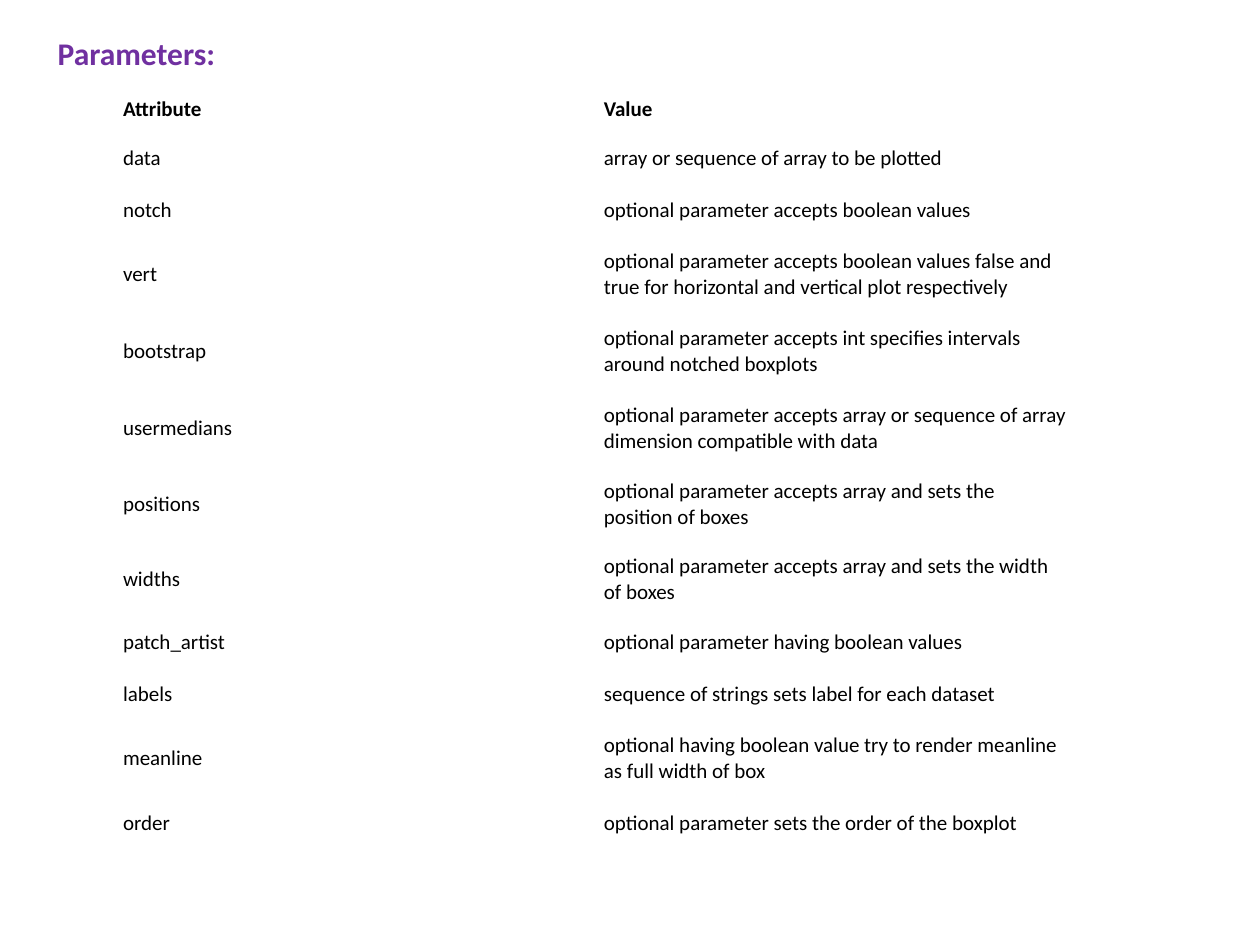
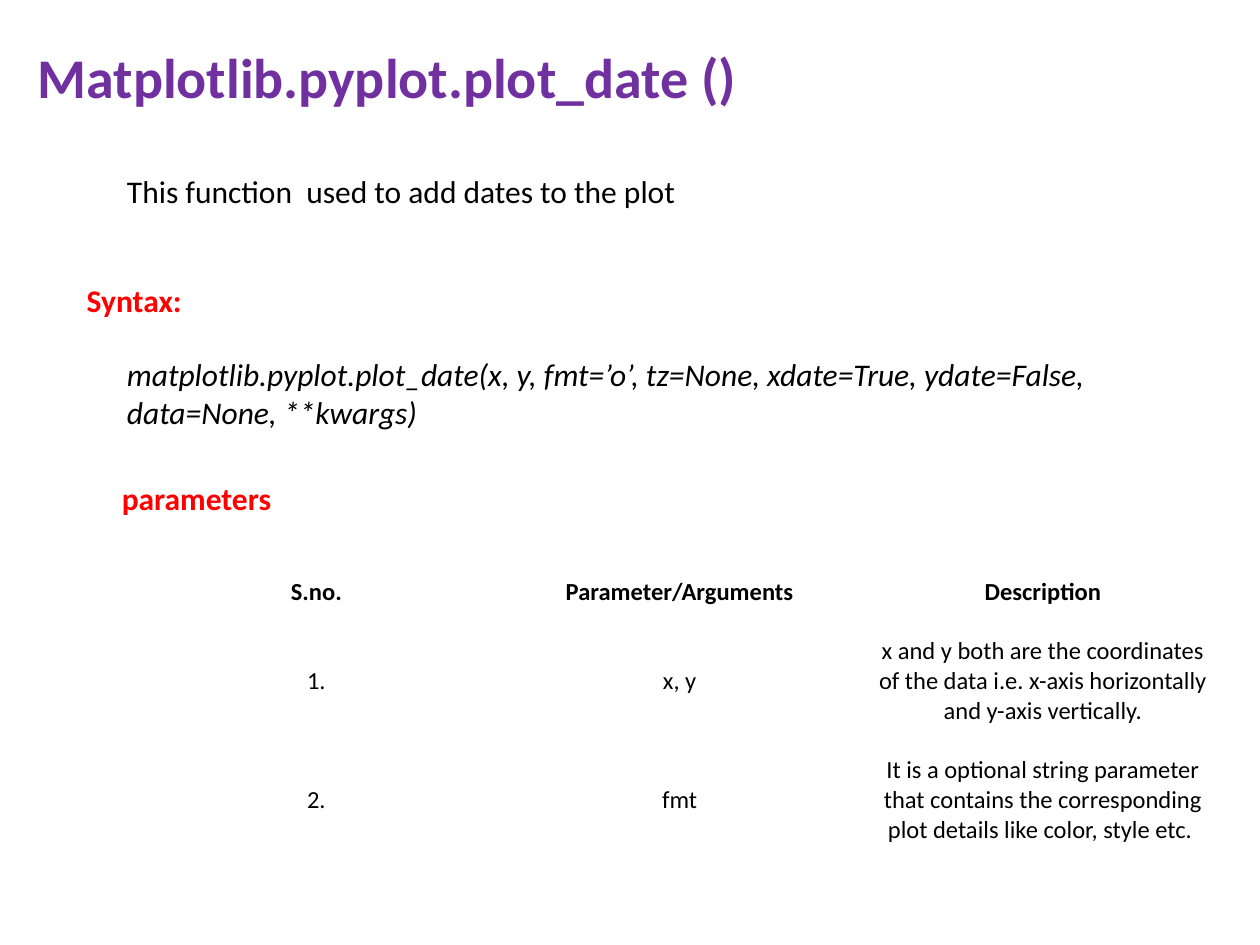
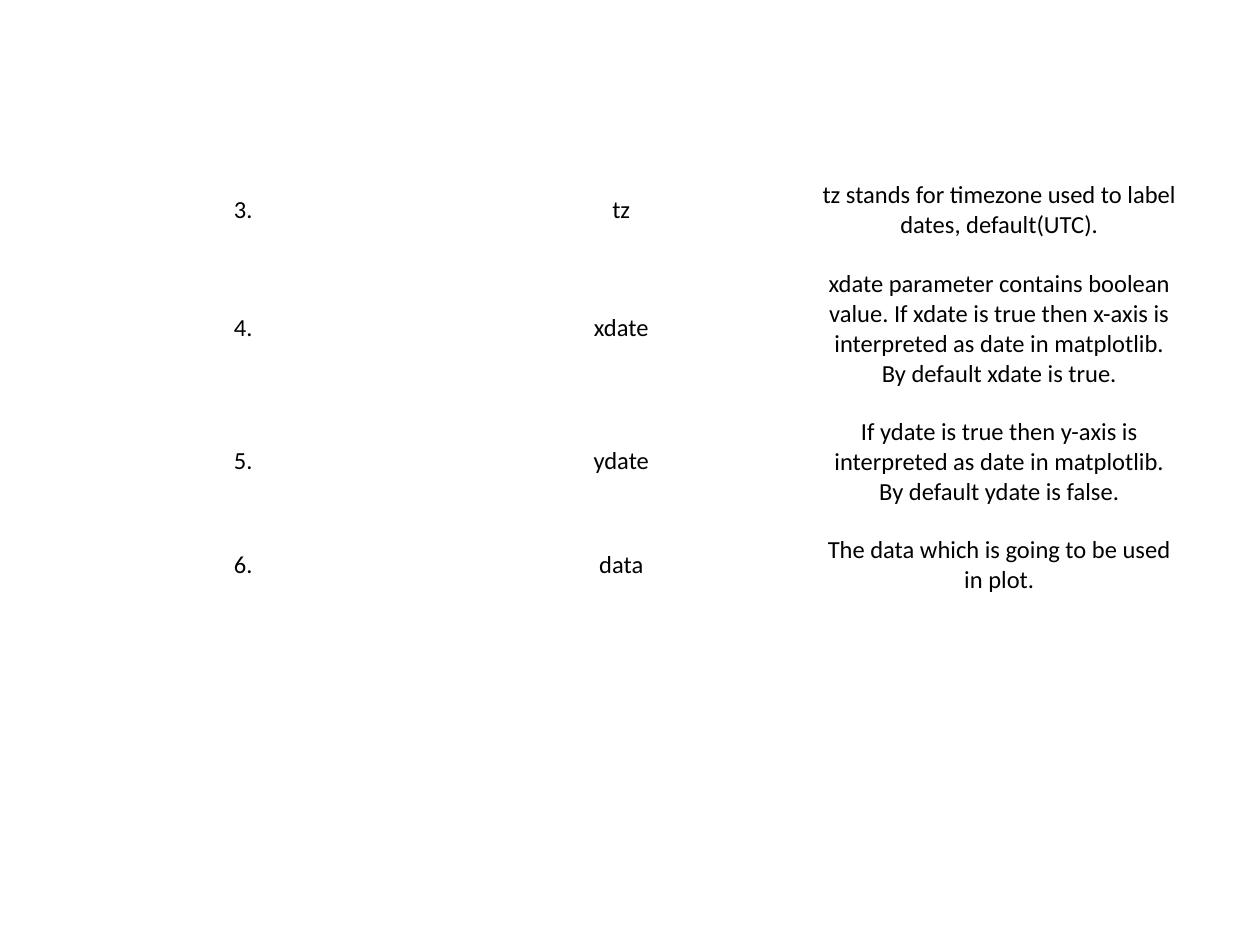
from pptx import Presentation
from pptx.dml.color import RGBColor
from pptx.enum.shapes import MSO_SHAPE
from pptx.enum.text import MSO_ANCHOR, MSO_AUTO_SIZE, PP_ALIGN
from pptx.util import Pt

COLORS = {"title": "7030A0", "label": "FF0000", "body": "000000", "paper": "FFFFFF"}
FONT = "Calibri"


def write(paragraph, text, size, color="body", bold=False, italic=False):
    paragraph.text = text
    font = paragraph.font
    font.name, font.size, font.bold, font.italic = FONT, Pt(size), bold, italic
    font.color.rgb = RGBColor.from_string(COLORS[color])


def add_grid(slide, left, top, column_width, heights, rows, size, margins, align, has_header):
    margin_x, margin_y, header_margin_y = margins
    columns = len(rows[0])
    grid = slide.shapes.add_table(len(rows), columns, Pt(left), Pt(top),
                                  Pt(column_width * columns), Pt(sum(heights))).table
    grid.first_row = has_header
    grid.horz_banding = False
    for column in grid.columns:
        column.width = Pt(column_width)
    for r, (values, height) in enumerate(zip(rows, heights)):
        is_header = has_header and r == 0
        grid.rows[r].height = Pt(height)
        for c, value in enumerate(values):
            cell = grid.cell(r, c)
            cell.fill.solid()
            cell.fill.fore_color.rgb = RGBColor.from_string(COLORS["paper"])
            cell.vertical_anchor = MSO_ANCHOR.MIDDLE
            cell.margin_left = cell.margin_right = Pt(margin_x)
            cell.margin_top = cell.margin_bottom = Pt(header_margin_y if is_header else margin_y)
            paragraph = cell.text_frame.paragraphs[0]
            write(paragraph, value, size, bold=is_header)
            paragraph.alignment = align


prs = Presentation()
prs.slide_width, prs.slide_height = Pt(720), Pt(540)
blank = prs.slide_layouts[6]

# Slide 1: boxplot parameters
boxplot_slide = prs.slides.add_slide(blank)
boxplot_parameters = [
    ("Attribute", "Value"),
    ("data", "array or sequence of array to be plotted"),
    ("notch", "optional parameter accepts boolean values"),
    ("vert", "optional parameter accepts boolean values false and true for horizontal "
             "and vertical plot respectively"),
    ("bootstrap", "optional parameter accepts int specifies intervals around notched boxplots"),
    ("usermedians", "optional parameter accepts array or sequence of array dimension "
                    "compatible with data"),
    ("positions", "optional parameter accepts array and sets the position of boxes"),
    ("widths", "optional parameter accepts array and sets the width of boxes"),
    ("patch_artist", "optional parameter having boolean values"),
    ("labels", "sequence of strings sets label for each dataset"),
    ("meanline", "optional having boolean value try to render meanline as full width of box"),
    ("order", "optional parameter sets the order of the boxplot"),
]
one_line, two_lines = 29.6, 44
boxplot_heights = [26.6, one_line, one_line, two_lines, two_lines, two_lines, 43, 42.5,
                   one_line, one_line, two_lines, one_line]
add_grid(boxplot_slide, 65.3, 49, 274.8, boxplot_heights, boxplot_parameters, 12,
         (5, 6.5, 5), PP_ALIGN.LEFT, True)

heading = boxplot_slide.shapes.add_shape(MSO_SHAPE.RECTANGLE, Pt(33), Pt(19.6), Pt(661), Pt(21.8))
heading.shadow.inherit = False
heading.fill.solid()
heading.fill.fore_color.rgb = RGBColor.from_string(COLORS["paper"])
heading.line.fill.background()
heading_frame = heading.text_frame
heading_frame.margin_left = heading_frame.margin_right = 0
heading_frame.margin_top = heading_frame.margin_bottom = 0
heading_frame.vertical_anchor = MSO_ANCHOR.MIDDLE
write(heading_frame.paragraphs[0], "Parameters: ", 18, "title", bold=True)
heading_frame.paragraphs[0].alignment = PP_ALIGN.LEFT

# Slide 2: plot_date purpose, syntax and first parameters
plot_date_slide = prs.slides.add_slide(blank)
passages = [
    # left, top, width, height, wrap, text, size, color, bold, italic
    (14.4, 20.9, 417.6, 46, False, "Matplotlib.pyplot.plot_date ()", 32, "title", True, False),
    (65.5, 94.5, 332, 29, False, "This function  used to add dates to the plot",
     18, "body", False, False),
    (42.5, 157, 69, 29, False, "Syntax:", 18, "label", True, False),
    (65.5, 199.5, 618, 51, True,
     "matplotlib.pyplot.plot_date(x, y, fmt=’o’, tz=None, xdate=True, ydate=False, "
     " data=None, **kwargs)", 18, "body", False, True),
    (62.5, 270, 101, 29, False, "parameters", 18, "label", True, False),
]
for left, top, width, height, wrap, text, size, color, bold, italic in passages:
    frame = plot_date_slide.shapes.add_textbox(Pt(left), Pt(top), Pt(width), Pt(height)).text_frame
    frame.word_wrap = wrap
    frame.auto_size = MSO_AUTO_SIZE.SHAPE_TO_FIT_TEXT
    write(frame.paragraphs[0], text, size, color, bold, italic)

argument_margins = (5.8, 8.6, 8.6)
first_arguments = [
    ("S.no.", "Parameter/Arguments", "Description"),
    ("1.", "x, y", "x and y both are the coordinates of the data i.e. x-axis horizontally "
                   "and y-axis vertically."),
    ("2.", "fmt", "It is a optional string parameter that contains the corresponding plot "
                  "details like color, style etc. "),
]
add_grid(plot_date_slide, 77, 321, 207.6, [32, 68, 68], first_arguments, 14,
         argument_margins, PP_ALIGN.CENTER, True)

# Slide 3: remaining plot_date parameters
remaining_slide = prs.slides.add_slide(blank)
remaining_arguments = [
    ("3.", "tz", "tz stands for timezone used to label dates, default(UTC)."),
    ("4.", "xdate", "xdate parameter contains boolean value. If xdate is true then x-axis is "
                    "interpreted as date in matplotlib. By default xdate is true."),
    ("5.", "ydate", "If ydate is true then y-axis is interpreted as date in matplotlib. "
                    "By default ydate is false."),
    ("6.", "data", "The data which is going to be used in plot."),
]
add_grid(remaining_slide, 31, 94.3, 216, [51, 84, 67, 50], remaining_arguments, 14,
         argument_margins, PP_ALIGN.CENTER, False)

prs.save("out.pptx")
